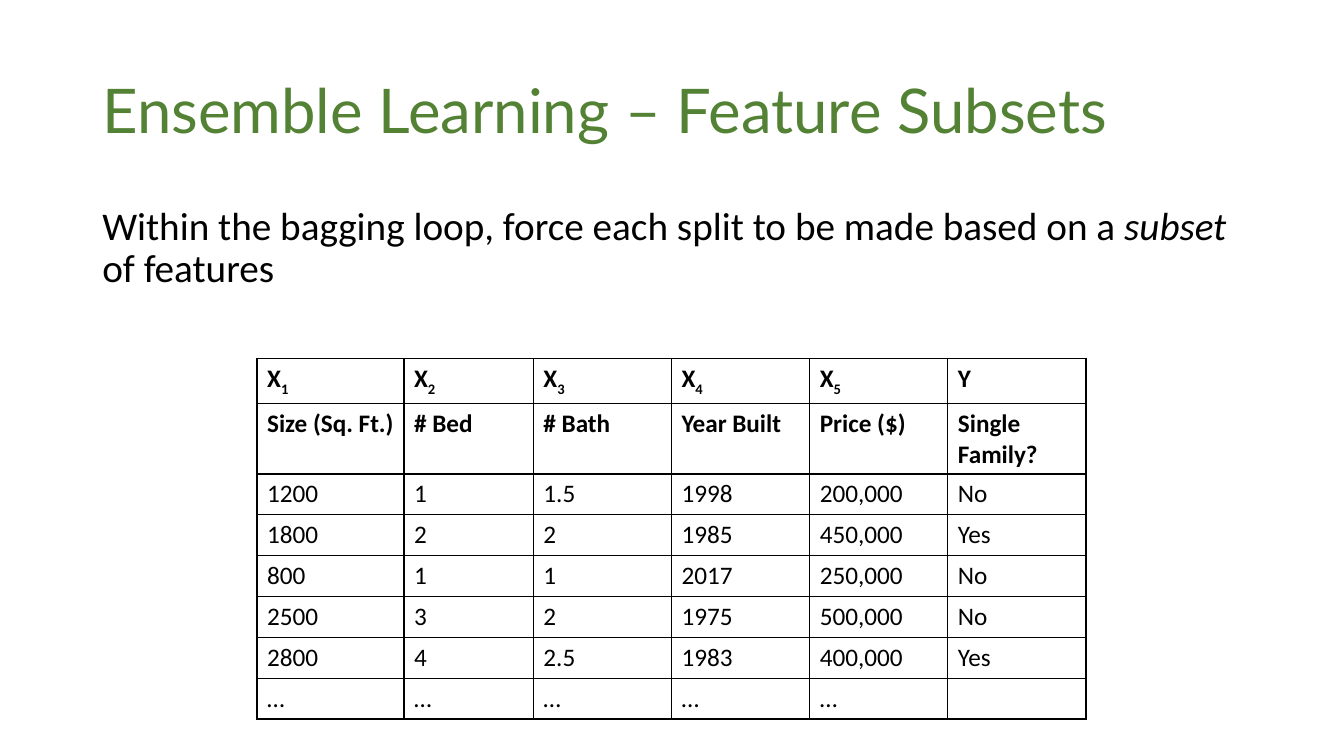
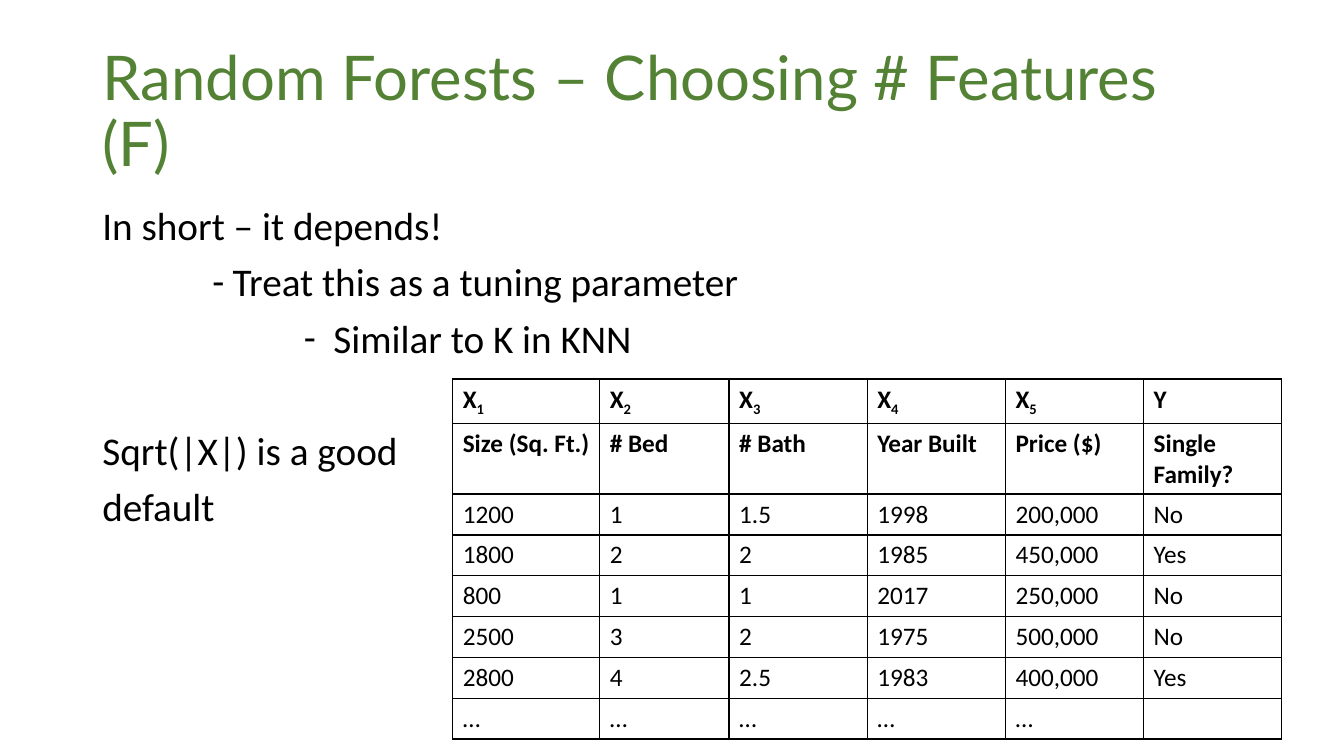
import lxml.etree
import pptx
import pptx.dml.color
import pptx.enum.text
import pptx.oxml.ns
import pptx.util

GREEN = pptx.dml.color.RGBColor(0x54, 0x82, 0x35)
BLACK = pptx.dml.color.RGBColor(0x00, 0x00, 0x00)
WHITE = pptx.dml.color.RGBColor(0xFF, 0xFF, 0xFF)
TITLE_FONT, BODY_FONT = "Lato", "Calibri"

SLIDE_WIDTH = pptx.util.Inches(13.33)
SLIDE_HEIGHT = pptx.util.Inches(7.5)
COLUMN = SLIDE_WIDTH / 160
ROW = SLIDE_HEIGHT / 150
TITLE_AREA = (11, 8, 138, 29)
BODY_AREA = (11, 40, 138, 95)
TITLE_ONLY = 5

TABLE_COLUMNS = [17.5, 15.4] + [16.45] * 4
TABLE_ROW = 8.11
HEADER_ROWS = 2
HOUSES = [
    [[("X", None), (str(number), "subscript")] for number in range(1, 6)] + ["Y"],
    ["Size (Sq. Ft.)", "# Bed", "# Bath", "Year Built", "Price ($)", "Single Family?"],
    ["1200", "1", "1.5", "1998", "200,000", "No"],
    ["1800", "2", "2", "1985", "450,000", "Yes"],
    ["800", "1", "1", "2017", "250,000", "No"],
    ["2500", "3", "2", "1975", "500,000", "No"],
    ["2800", "4", "2.5", "1983", "400,000", "Yes"],
    ["…"] * 5 + [""],
]


def columns(count):
    return pptx.util.Emu(round(count * COLUMN))


def rows(count):
    return pptx.util.Emu(round(count * ROW))


def place(area):
    left, top, width, height = area
    return columns(left), rows(top), columns(width), rows(height)


def add_child(parent, tag, **attributes):
    child = lxml.etree.SubElement(parent, pptx.oxml.ns.qn(tag))
    for name, value in attributes.items():
        child.set(name, str(value))
    return child


def write_text(paragraph, text, font=BODY_FONT, size=28, color=BLACK, bold=False,
               line_spacing=None, space_before=0):
    paragraph.alignment = pptx.enum.text.PP_ALIGN.LEFT
    paragraph.line_spacing = line_spacing
    paragraph.space_before = pptx.util.Pt(space_before)
    pieces = [(text, None)] if isinstance(text, str) else text
    for words, style in pieces:
        if not words:
            continue
        run = paragraph.add_run()
        run.text = words
        run.font.name = font
        run.font.size = pptx.util.Pt(size)
        run.font.color.rgb = color
        run.font.bold = bold
        run.font.italic = style == "italic"
        if style == "subscript":
            run._r.get_or_add_rPr().set("baseline", "-25000")


def add_dash(paragraph, indent, hanging):
    properties = paragraph._p.get_or_add_pPr()
    properties.set("marL", str(columns(indent)))
    properties.set("indent", str(-columns(hanging)))
    add_child(properties, "a:buFont", typeface=BODY_FONT)
    add_child(properties, "a:buChar", char="-")


def add_titled_slide(presentation, title):
    slide = presentation.slides.add_slide(presentation.slide_layouts[TITLE_ONLY])
    shape = slide.shapes.title
    shape.left, shape.top, shape.width, shape.height = place(TITLE_AREA)
    frame = shape.text_frame
    frame.auto_size = pptx.enum.text.MSO_AUTO_SIZE.NONE
    frame.vertical_anchor = pptx.enum.text.MSO_ANCHOR.MIDDLE
    write_text(frame.paragraphs[0], title, font=TITLE_FONT, size=44, color=GREEN,
               line_spacing=0.9)
    return slide


def add_body(slide, items):
    frame = slide.shapes.add_textbox(*place(BODY_AREA)).text_frame
    frame.word_wrap = True
    for index, (text, space_before, dash) in enumerate(items):
        paragraph = frame.add_paragraph() if index else frame.paragraphs[0]
        if dash:
            add_dash(paragraph, *dash)
        write_text(paragraph, text, line_spacing=0.9, space_before=space_before)


def format_cell(cell):
    cell.fill.solid()
    cell.fill.fore_color.rgb = WHITE
    properties = cell._tc.get_or_add_tcPr()
    for index, side in enumerate("LRTB"):
        line = add_child(properties, f"a:ln{side}", w=pptx.util.Pt(1))
        add_child(add_child(line, "a:solidFill"), "a:srgbClr", val=BLACK)
        properties.insert(index, line)


def add_house_table(slide, left, top):
    area = (left, top, sum(TABLE_COLUMNS), TABLE_ROW * len(HOUSES))
    table = slide.shapes.add_table(len(HOUSES), len(TABLE_COLUMNS), *place(area)).table
    table.first_row = table.horz_banding = False
    for column, width in zip(table.columns, TABLE_COLUMNS):
        column.width = columns(width)
    for row_index, values in enumerate(HOUSES):
        table.rows[row_index].height = rows(TABLE_ROW)
        for column_index, value in enumerate(values):
            cell = table.cell(row_index, column_index)
            format_cell(cell)
            write_text(cell.text_frame.paragraphs[0], value, size=18,
                       bold=row_index < HEADER_ROWS)


def main():
    presentation = pptx.Presentation()
    presentation.slide_width = SLIDE_WIDTH
    presentation.slide_height = SLIDE_HEIGHT

    slide = add_titled_slide(presentation, "Ensemble Learning – Feature Subsets")
    sentence = [
        ("Within the bagging loop, force each split to be made based on a ", None),
        ("subset", "italic"),
        (" of features", None),
    ]
    add_body(slide, [(sentence, 0, None)])
    add_house_table(slide, 30.6, 71.2)

    slide = add_titled_slide(presentation, "Random Forests – Choosing # Features (F)")
    add_body(slide, [
        ("In short – it depends!", 0, None),
        ("Treat this as a tuning parameter", 10, (15.5, 2.4)),
        ("Similar to K in KNN", 10, (27.5, 3.5)),
        ("Sqrt(|X|) is a good", 50, None),
        ("default", 10, None),
    ])
    add_house_table(slide, 53.9, 75.2)

    presentation.save("out.pptx")


if __name__ == "__main__":
    main()
